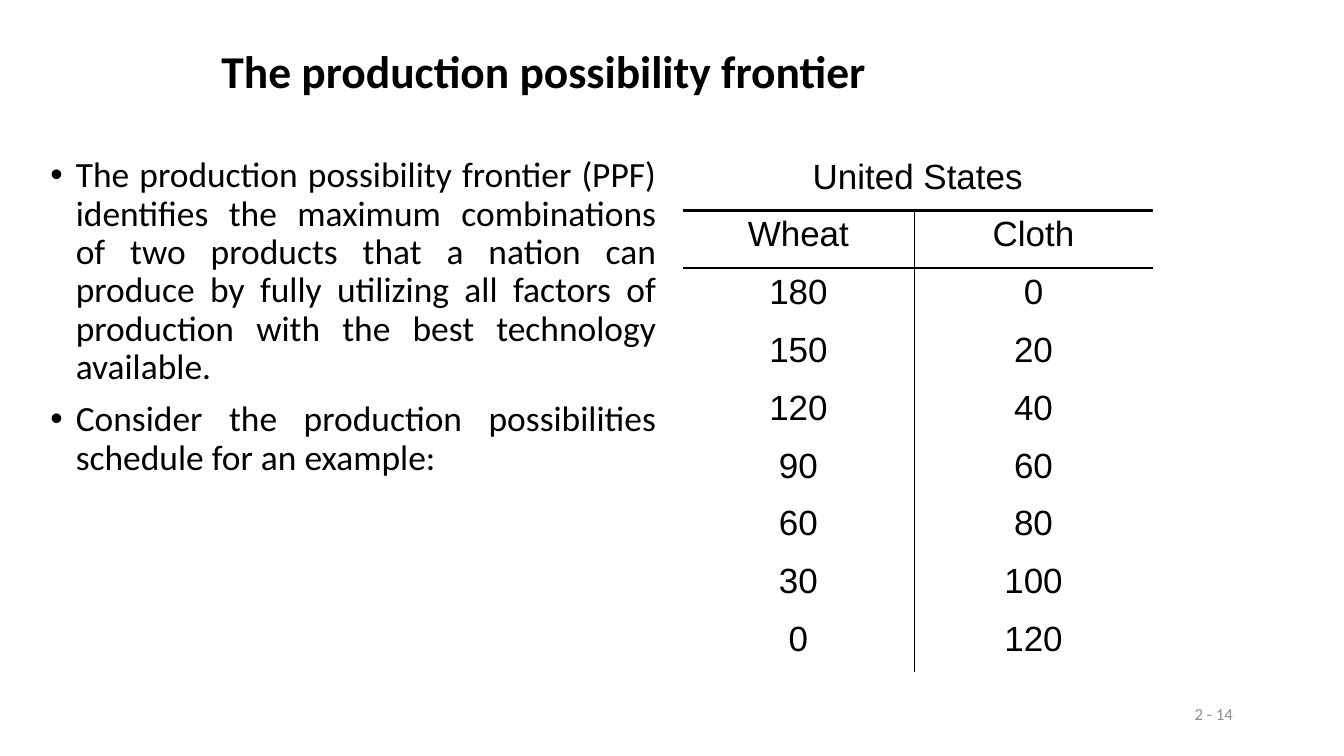
from lxml.etree import SubElement
from pptx import Presentation
from pptx.dml.color import RGBColor
from pptx.enum.text import MSO_ANCHOR, PP_ALIGN
from pptx.oxml import parse_xml
from pptx.oxml.ns import nsdecls, qn
from pptx.util import Cm, Pt

BLACK = "000000"
GREY = "8C8C8C"
PLAIN = "{2D5ABB26-0587-4C30-8999-92F81FD0307C}"
TITLE = "The production possibility frontier"
POINTS = [
    "The production possibility frontier (PPF) identifies the maximum combinations "
    "of two products that a nation can produce by fully utilizing all factors of "
    "production with the best technology available.",
    "Consider the production possibilities schedule for an example:",
]
HEAD = "United States"
ROWS = [("Wheat", "Cloth")] + [(180 - 30 * i, 20 * i) for i in range(7)]


def color(code):
    return RGBColor.from_string(code)


def style(para, face, size, code=BLACK, bold=False, align=PP_ALIGN.LEFT):
    para.alignment = align
    font = para.font
    font.name, font.size, font.bold = face, Pt(size), bold
    font.color.rgb = color(code)


def add_frame(slide, box, anchor):
    frame = slide.shapes.add_textbox(*map(Cm, box)).text_frame
    frame.word_wrap = True
    frame.vertical_anchor = anchor
    return frame


def add_title(slide, box):
    para = add_frame(slide, box, MSO_ANCHOR.MIDDLE).paragraphs[0]
    para.text = TITLE
    para.line_spacing = 0.9
    style(para, "Calibri", 32.5, bold=True)


def add_points(slide, box):
    frame = add_frame(slide, box, MSO_ANCHOR.TOP)
    for i, text in enumerate(POINTS):
        para = frame.add_paragraph() if i else frame.paragraphs[0]
        para.text = text
        para.line_spacing = 0.9
        para.space_before = Pt(10)
        style(para, "Calibri", 25.3, align=PP_ALIGN.JUSTIFY)
        props = para._p.get_or_add_pPr()
        props.set("marL", str(Cm(0.64)))
        props.set("indent", str(Cm(-0.64)))
        mark = parse_xml(f'<a:buFont {nsdecls("a")} typeface="Arial"/>')
        dot = parse_xml(f'<a:buChar {nsdecls("a")} char="•"/>')
        props.find(qn("a:spcBef")).addnext(mark)
        mark.addnext(dot)


def set_edges(cell, **edges):
    props = cell._tc.get_or_add_tcPr()
    for i, side in enumerate("LRTB"):
        width = edges.get(side, 0)
        line = SubElement(props, qn(f"a:ln{side}"), w=str(Pt(width)))
        if width:
            fill = SubElement(line, qn("a:solidFill"))
            SubElement(fill, qn("a:srgbClr"), val=BLACK)
        else:
            SubElement(line, qn("a:noFill"))
        props.insert(i, line)


def fill_cell(cell, text, **edges):
    cell.fill.background()
    cell.margin_left = cell.margin_right = Cm(0.24)
    cell.margin_top = cell.margin_bottom = Cm(0.13)
    para = cell.text_frame.paragraphs[0]
    para.text = str(text)
    style(para, "Arial", 25, align=PP_ALIGN.CENTER)
    set_edges(cell, **edges)


def add_grid(slide, box):
    count = len(ROWS) + 1
    table = slide.shapes.add_table(count, 2, *map(Cm, box)).table
    table.first_row = table.horz_banding = False
    table._tbl.tblPr.find(qn("a:tableStyleId")).text = PLAIN
    left, _, width, high = box
    table.columns[0].width = Cm(5.84)
    table.columns[1].width = Cm(width - 5.84)
    for row in table.rows:
        row.height = Cm(high / count)
    table.cell(0, 0).merge(table.cell(0, 1))
    fill_cell(table.cell(0, 0), HEAD, B=2.25)
    fill_cell(table.cell(0, 1), "", B=2.25)
    for r, pair in enumerate(ROWS, 1):
        top = {1: 2.25, 2: 1}.get(r, 0)
        base = 1 if r == 1 else 0
        fill_cell(table.cell(r, 0), pair[0], R=1, T=top, B=base)
        fill_cell(table.cell(r, 1), pair[1], L=1, T=top, B=base)


def add_number(slide, box):
    para = add_frame(slide, box, MSO_ANCHOR.MIDDLE).paragraphs[0]
    para.text = "2 - 14"
    style(para, "Calibri", 12, GREY, align=PP_ALIGN.RIGHT)


def main():
    deck = Presentation()
    deck.slide_width, deck.slide_height = Cm(33.87), Cm(19.05)
    slide = deck.slides.add_slide(deck.slide_layouts[6])
    add_number(slide, (24.26, 17.35, 7.06, 1.27))
    add_title(slide, (5.33, 0.84, 27.97, 2.06))
    add_points(slide, (1.02, 3.84, 15.77, 13.11))
    add_grid(slide, (17.2, 3.84, 11.85, 13.11))
    deck.save("out.pptx")


if __name__ == "__main__":
    main()
